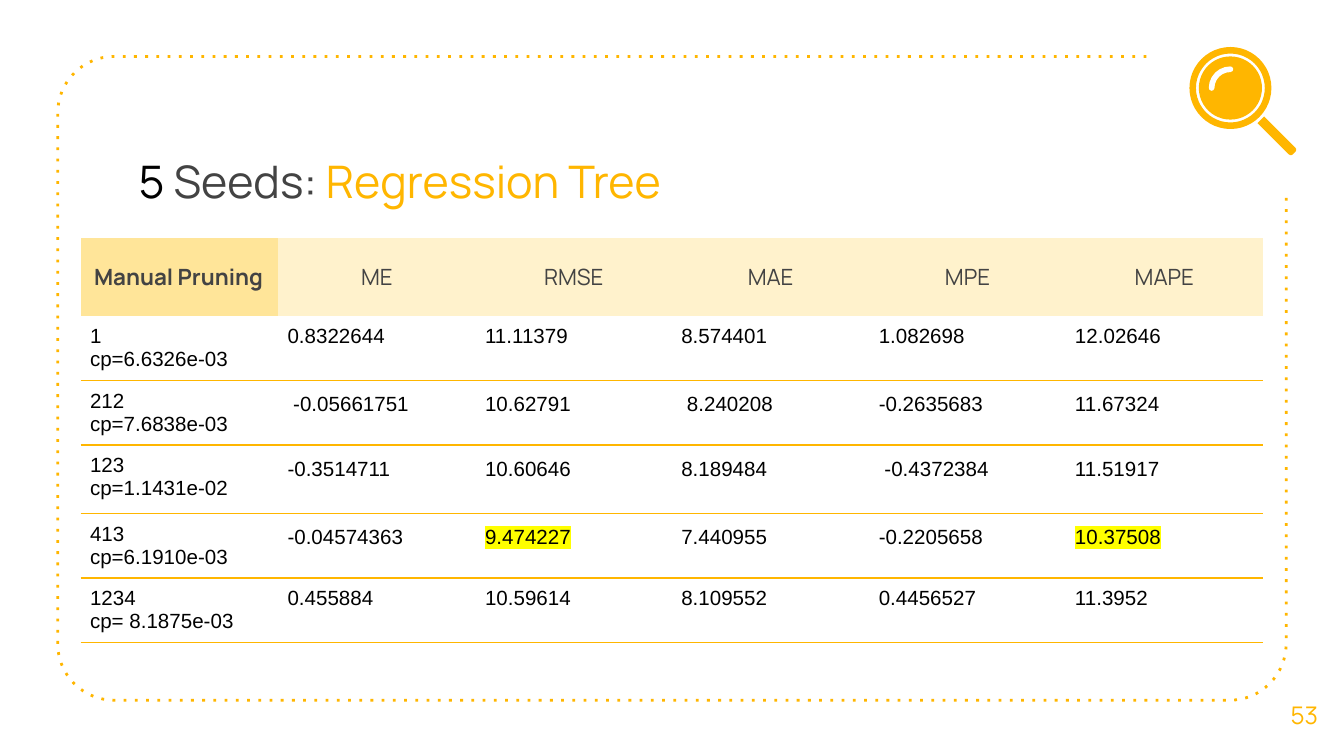
import math
from lxml import etree
from pptx import Presentation
from pptx.dml.color import RGBColor
from pptx.enum.shapes import MSO_SHAPE
from pptx.enum.text import MSO_ANCHOR, MSO_AUTO_SIZE, PP_ALIGN
from pptx.oxml.ns import qn
from pptx.util import Inches, Pt

CENTER, LEFT = PP_ALIGN.CENTER, PP_ALIGN.LEFT
MIDDLE, TOP = MSO_ANCHOR.MIDDLE, MSO_ANCHOR.TOP
FIXED_SIZE = MSO_AUTO_SIZE.NONE
DONUT, OVAL, ARC = MSO_SHAPE.DONUT, MSO_SHAPE.OVAL, MSO_SHAPE.ARC
ROUND_TOP = MSO_SHAPE.ROUND_2_SAME_RECTANGLE

AMBER, DARK, BLACK, WHITE = "FFB600", "434343", "000000", "FFFFFF"
YELLOW = "FFFF00"
HEADING_FONT, BODY_FONT = "Manrope", "Arial"

HEADERS = ["Manual Pruning", "ME", "RMSE", "MAE", "MPE", "MAPE"]
SEED_ROWS = [
    ["1\ncp=6.6326e-03", "0.8322644", "11.11379", "8.574401", "1.082698", "12.02646"],
    ["212\ncp=7.6838e-03", " -0.05661751", "10.62791", " 8.240208", "-0.2635683", "11.67324"],
    ["123\ncp=1.1431e-02", "-0.3514711", "10.60646", "8.189484", " -0.4372384", "11.51917"],
    ["413\ncp=6.1910e-03", "-0.04574363", "9.474227", "7.440955", "-0.2205658", "10.37508"],
    ["1234\vcp= 8.1875e-03", "0.455884", "10.59614", "8.109552", "0.4456527", "11.3952"],
]
BEST_VALUES = {"9.474227", "10.37508"}
COLUMN_WIDTHS = [1.47, 1.47, 1.46, 1.47, 1.46, 1.47]
ROW_HEIGHTS = [0.58, 0.48, 0.48, 0.51, 0.48, 0.48]
SPACED_ROWS = (2, 3, 4)


def rgb(color):
    return RGBColor.from_string(color)


def format_run(run, size, font, color, bold=False):
    run.font.size = Pt(size)
    run.font.name = font
    run.font.bold = bold
    run.font.color.rgb = rgb(color)


def set_margins(target, horizontal, vertical):
    target.margin_left = target.margin_right = Inches(horizontal)
    target.margin_top = target.margin_bottom = Inches(vertical)


def add_frame(slide, left, top, width, height):
    """Dotted rounded outline, open at the top right corner."""
    radius, gap = 0.42, 1.04
    right, bottom = left + width, top + height

    def corner(center_x, center_y, start):
        angles = [math.radians(start - step * 90 / 16) for step in range(17)]
        return [(center_x + radius * math.cos(a), center_y + radius * math.sin(a))
                for a in angles]

    points = corner(left + radius, top + radius, 270)
    points += corner(left + radius, bottom - radius, 180)
    points += corner(right - radius, bottom - radius, 90)
    points.append((right, top + gap))
    builder = slide.shapes.build_freeform(Inches(right - gap), Inches(top))
    builder.add_line_segments([(Inches(x), Inches(y)) for x, y in points], close=False)
    frame = builder.convert_to_shape()
    frame.shadow.inherit = False
    frame.fill.background()
    frame.line.color.rgb = rgb(AMBER)
    frame.line.width = Pt(1.5)
    etree.SubElement(frame.line._get_or_add_ln(), qn("a:prstDash"), val="dot")


def add_title(slide, left, top, width, height):
    title = slide.shapes.title
    title.left, title.top = Inches(left), Inches(top)
    title.width, title.height = Inches(width), Inches(height)
    text_frame = title.text_frame
    text_frame.auto_size = FIXED_SIZE
    text_frame.vertical_anchor = MIDDLE
    set_margins(text_frame, 0.1, 0.1)
    para = text_frame.paragraphs[0]
    para.alignment = CENTER
    for text, color in [("5", BLACK), (" Seeds: ", DARK), ("Regression Tree", AMBER)]:
        span = para.add_run()
        span.text = text
        format_run(span, 24, HEADING_FONT, color)


def set_borders(cell, above, below):
    """Amber rules above and below where asked for, no other borders."""
    properties = cell._tc.get_or_add_tcPr()
    edges = [("lnL", False), ("lnR", False), ("lnT", above), ("lnB", below)]
    for index, (name, ruled) in enumerate(edges):
        line = etree.Element(qn(f"a:{name}"))
        if ruled:
            line.set("w", str(Pt(1)))
            fill = etree.SubElement(line, qn("a:solidFill"))
            etree.SubElement(fill, qn("a:srgbClr"), val=AMBER)
        else:
            etree.SubElement(line, qn("a:noFill"))
        properties.insert(index, line)


def highlight(run):
    mark = etree.Element(qn("a:highlight"))
    etree.SubElement(mark, qn("a:srgbClr"), val=YELLOW)
    run.font._element.find(qn("a:latin")).addprevious(mark)


def format_header(cell, column):
    first = column == 0
    cell.vertical_anchor = MIDDLE
    set_margins(cell, 0.1, 0.07)
    cell.fill.solid()
    cell.fill.fore_color.rgb = rgb("FFE599" if first else "FFF2CC")
    para = cell.text_frame.paragraphs[0]
    para.alignment = LEFT if first else CENTER
    format_run(para.runs[0], 12, HEADING_FONT, DARK, bold=first)


def format_value(cell, row, column):
    cell.vertical_anchor = TOP
    set_margins(cell, 0.07, 0.07)
    cell.fill.background()
    for para in cell.text_frame.paragraphs:
        if column > 0 and row in SPACED_ROWS:
            para.line_spacing = 1.15
        for run in para.runs:
            format_run(run, 11, BODY_FONT, BLACK)
            if run.text in BEST_VALUES:
                highlight(run)


def add_results_table(slide, left, top):
    rows = [HEADERS] + SEED_ROWS
    table = slide.shapes.add_table(
        len(rows), len(HEADERS), Inches(left), Inches(top),
        Inches(sum(COLUMN_WIDTHS)), Inches(sum(ROW_HEIGHTS))).table
    table.first_row = table.horz_banding = False
    for column, width in zip(table.columns, COLUMN_WIDTHS):
        column.width = Inches(width)
    for row, height in zip(table.rows, ROW_HEIGHTS):
        row.height = Inches(height)
    for row, texts in enumerate(rows):
        for column, text in enumerate(texts):
            cell = table.cell(row, column)
            cell.text_frame.text = text
            if row == 0:
                format_header(cell, column)
            else:
                format_value(cell, row, column)
            set_borders(cell, above=row > 1, below=row > 0)


def add_magnifier(slide, left, top, size):
    """Magnifying glass whose lens has the given outer diameter."""
    center_x, center_y = left + size / 2, top + size / 2

    def add_part(kind, x, y, width, height):
        part = slide.shapes.add_shape(kind, Inches(x - width / 2), Inches(y - height / 2),
                                      Inches(width), Inches(height))
        part.shadow.inherit = False
        part.fill.solid()
        part.fill.fore_color.rgb = rgb(AMBER)
        part.line.fill.background()
        return part

    ring = add_part(DONUT, center_x, center_y, size, size)
    ring.adjustments[0] = 0.08
    add_part(OVAL, center_x, center_y, 0.47, 0.47)
    glint = add_part(ARC, center_x, center_y, 0.28, 0.28)
    glint.adjustments[0], glint.adjustments[1] = 108, 162
    glint.fill.background()
    glint.line.color.rgb = rgb(WHITE)
    glint.line.width = Pt(3)
    glint.line._get_or_add_ln().set("cap", "rnd")
    handle = add_part(ROUND_TOP, center_x + 0.35, center_y + 0.36, 0.07, 0.35)
    handle.adjustments[0] = 0.3
    handle.rotation = 135


def add_page_number(slide, left, top, width, height):
    box = slide.shapes.add_textbox(Inches(left), Inches(top), Inches(width), Inches(height))
    text_frame = box.text_frame
    text_frame.word_wrap = True
    text_frame.vertical_anchor = MIDDLE
    set_margins(text_frame, 0.1, 0.1)
    text_frame.text = "53"
    para = text_frame.paragraphs[0]
    para.alignment = CENTER
    format_run(para.runs[0], 13, HEADING_FONT, AMBER)


deck = Presentation()
deck.slide_width = Inches(10)
deck.slide_height = deck.slide_width * 9 // 16
page = deck.slides.add_slide(deck.slide_layouts[5])
add_frame(page, 0.43, 0.42, 9.14, 4.79)
add_title(page, 0.6, 1.04, 4.75, 0.6)
add_results_table(page, 0.6, 1.77)
add_page_number(page, 9.41, 5.02, 0.59, 0.6)
add_magnifier(page, 8.85, 0.35, 0.61)
deck.save("out.pptx")
